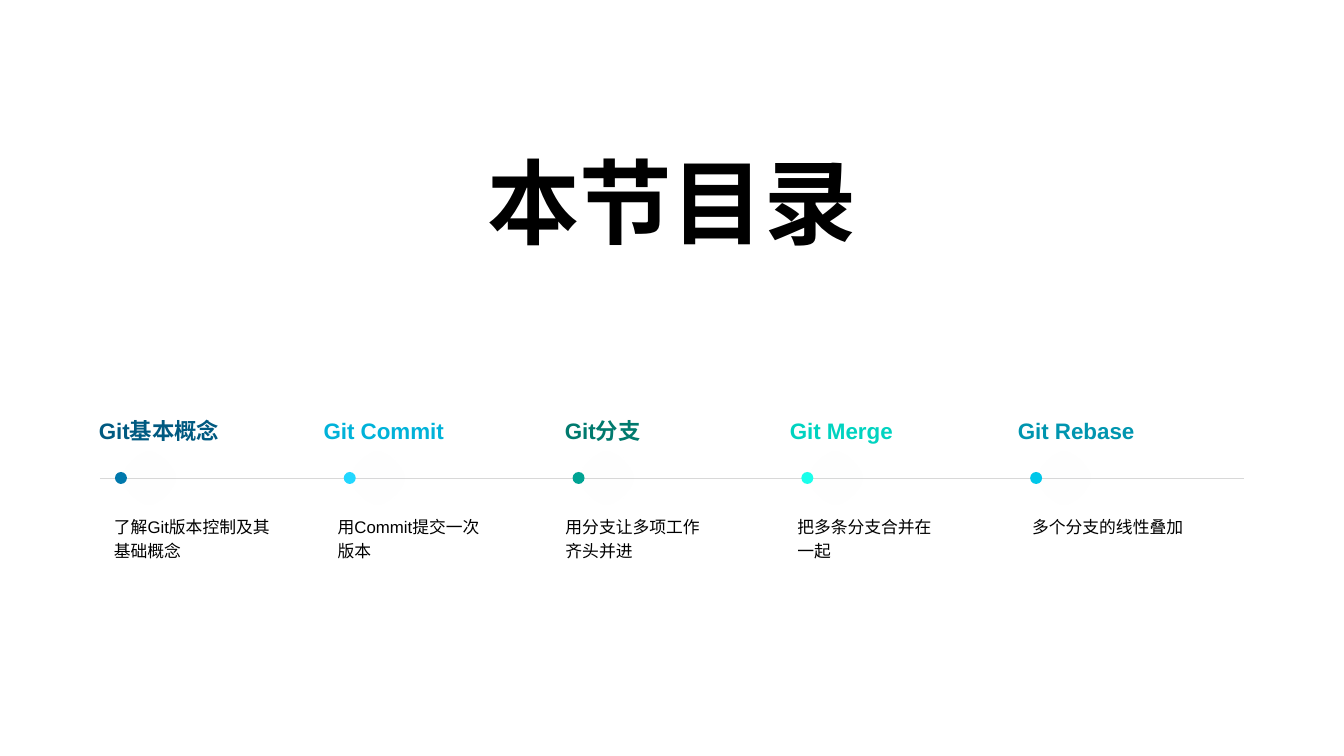
from lxml.etree import SubElement
from pptx import Presentation
from pptx.dml.color import RGBColor
from pptx.enum.shapes import MSO_CONNECTOR, MSO_SHAPE
from pptx.enum.text import MSO_ANCHOR, MSO_AUTO_SIZE, PP_ALIGN
from pptx.oxml.ns import qn
from pptx.util import Emu, Pt

FONT = "Arial"
DOT = 12

# label, label centre shift, label colour, body, body left shift, dot colour, glow colour
TOPICS = [
    ("Git基本概念", 59, "005A81", "了解Git版本控制及其基础概念", 4, "0078AC", "00A393"),
    ("Git Commit", 55, "00B2D9", "用Commit提交一次\n版本", -1, "22D7FF", "22D7FF"),
    ("Git分支", 45, "007A6E", "用分支让多项工作\n齐头并进", -2, "00A393", "006075"),
    ("Git Merge", 55, "00D3C0", "把多条分支合并在\n一起", 1, "1AFFEB", "1AFFEB"),
    ("Git Rebase", 61, "0095AF", "多个分支的线性叠加", 7, "00C7E9", "00C7E9"),
]


def px(n):
    return Emu(round(n * 914400 / 100.8))


def rgb(color):
    return RGBColor.from_string(color)


def write(tf, text, size, color, bold=False, align=PP_ALIGN.LEFT, spacing=1.0):
    """Fill a text frame, one paragraph per line of text."""
    tf.text = text
    for p in tf.paragraphs:
        p.alignment = align
        p.line_spacing = spacing
        p.font.name = FONT
        p.font.size = Pt(size)
        p.font.bold = bold
        p.font.color.rgb = rgb(color)


def add_text(s, x, y, w, h, text, size, color, **style):
    tf = s.shapes.add_textbox(px(x), px(y), px(w), px(h)).text_frame
    tf.word_wrap = True
    write(tf, text, size, color, **style)


def add_glow(sp, color):
    """Add a soft, faint shadow to the right of the shape."""
    effects = SubElement(sp._element.spPr, qn("a:effectLst"))
    shadow = SubElement(effects, qn("a:outerShdw"), blurRad=str(Pt(32)),
                        dist=str(Pt(20)), dir="0", algn="ctr", rotWithShape="0")
    clr = SubElement(shadow, qn("a:srgbClr"), val=color)
    SubElement(clr, qn("a:alpha"), val="10000")


def add_title(s, x, y, w, h):
    title = s.shapes.title
    title.left, title.top, title.width, title.height = px(x), px(y), px(w), px(h)
    tf = title.text_frame
    tf.word_wrap = False
    tf.auto_size = MSO_AUTO_SIZE.NONE
    tf.vertical_anchor = MSO_ANCHOR.TOP
    write(tf, "本节目录", 66, "000000", bold=True, align=PP_ALIGN.CENTER)


def add_topic(s, x, y, topic):
    """Place one topic's label, dot and body around the axis at height y."""
    label, label_dx, label_color, body, body_dx, dot_color, glow = topic
    w = 143
    add_text(s, x + label_dx - w / 2, y - 66, w, 37, label, 16, label_color,
             bold=True, align=PP_ALIGN.CENTER)
    add_text(s, x + body_dx, y + 30, 185, 56, body, 12, "000000", spacing=1.2)
    dot = s.shapes.add_shape(MSO_SHAPE.OVAL, px(x + 15), px(y - DOT / 2), px(DOT), px(DOT))
    dot.fill.solid()
    dot.fill.fore_color.rgb = rgb(dot_color)
    dot.line.fill.background()
    add_glow(dot, glow)


def add_timeline(s, x, y, w):
    axis = s.shapes.add_connector(MSO_CONNECTOR.STRAIGHT, px(x), px(y), px(x + w), px(y))
    axis.line.color.rgb = rgb("D8D8D8")
    axis.line.width = Pt(0.5)
    SubElement(axis._element.spPr, qn("a:effectLst"))
    step = w / len(TOPICS)
    for i, topic in enumerate(TOPICS):
        add_topic(s, x + i * step, y, topic)


def main():
    prs = Presentation()
    prs.slide_width, prs.slide_height = px(1344), px(756)
    s = prs.slides.add_slide(prs.slide_layouts[5])
    add_title(s, 470, 140, 404, 122)
    add_timeline(s, 100, 478, 1144)
    prs.save("out.pptx")


if __name__ == "__main__":
    main()
